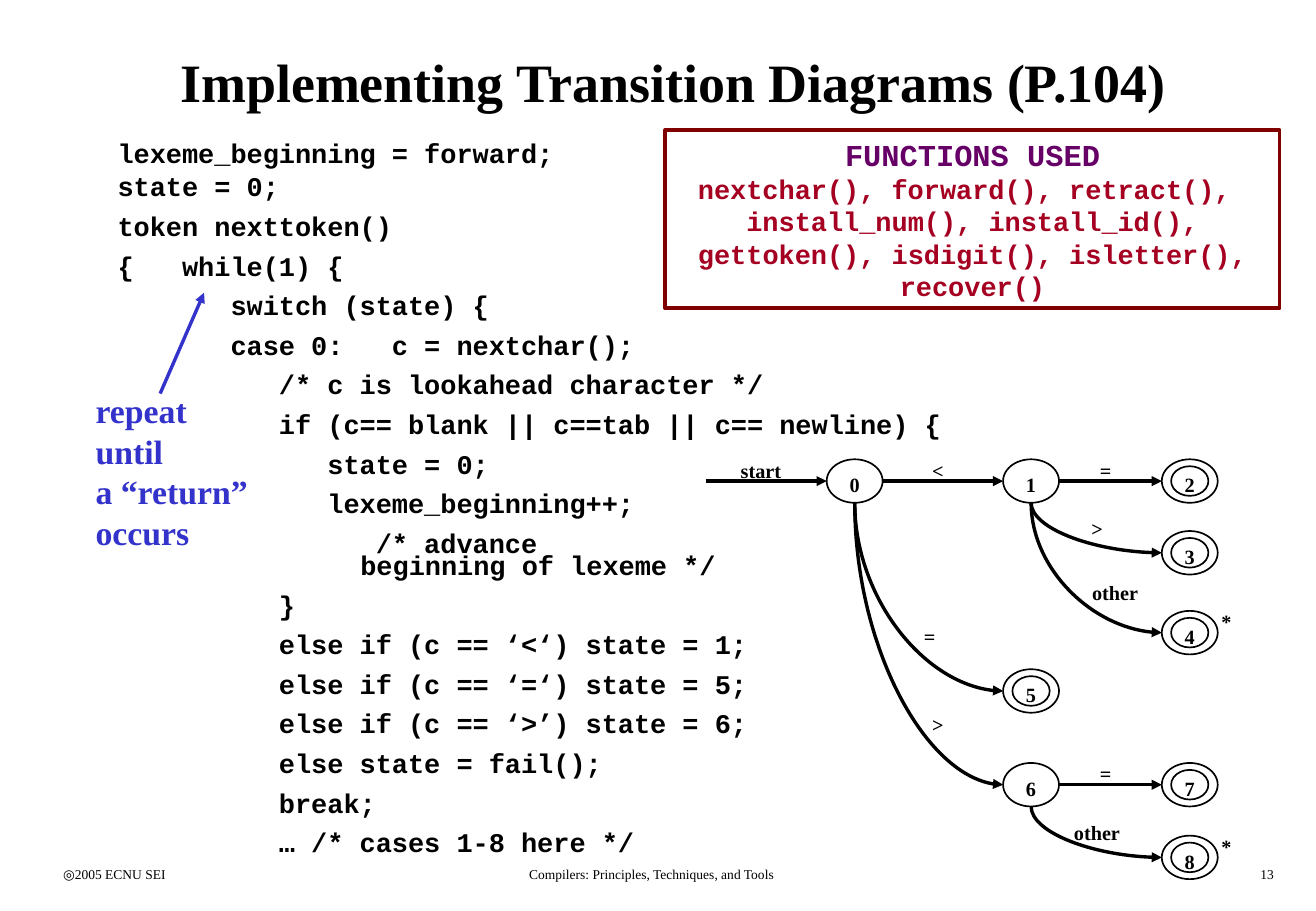
from copy import deepcopy

from lxml import etree
from pptx import Presentation
from pptx import util as u
from pptx.dml.color import RGBColor
from pptx.enum import shapes, text
from pptx.oxml.ns import qn

BLACK, BLUE, MAROON, PURPLE, CRIMSON = "000000", "3333CC", "800000", "660066", "A50021"
SERIF, MONO = "Times New Roman", "Courier New"
LEFT, CENTER, RIGHT = text.PP_ALIGN.LEFT, text.PP_ALIGN.CENTER, text.PP_ALIGN.RIGHT

CODE = [
    "lexeme_beginning = forward; \nstate = 0;",
    "token nexttoken()",
    "{   while(1) {",
    "       switch (state) {",
    "       case 0:   c = nextchar();",
    "          /* c is lookahead character */",
    "          if (c== blank || c==tab || c== newline) {",
    "             state = 0;",
    "             lexeme_beginning++;",
    "                /* advance \n\t\tbeginning of lexeme */",
    "          }",
    "          else if (c == ‘<‘) state = 1;",
    "          else if (c == ‘=‘) state = 5;",
    "          else if (c == ‘>’) state = 6;",
    "          else state = fail();",
    "          break;",
    "          … /* cases 1-8 here */",
]

# Diagram measures in cm: state centres, oval sizes and label boxes
COLUMNS = (17.88, 21.57, 24.89)
STATES = {
    0: (COLUMNS[0], 10.06),
    1: (COLUMNS[1], 10.06),
    2: (COLUMNS[2], 10.06),
    3: (COLUMNS[2], 11.56),
    4: (COLUMNS[2], 13.23),
    5: (COLUMNS[1], 14.45),
    6: (COLUMNS[1], 16.41),
    7: (COLUMNS[2], 16.41),
    8: (COLUMNS[2], 17.93),
}
ACCEPTING = (2, 3, 4, 5, 7, 8)
RETRACTING = (4, 8)
OUTER, INNER = (1.17, 0.91), (0.78, 0.62)
LABEL_WIDTH, DIGIT_WIDTH, LABEL_HEIGHT = 1.96, 0.78, 0.76

# Source state, target state, symbol, left and top of its label
TRANSITIONS = [
    (0, 1, "<", 18.64, 9.45),
    (1, 2, "=", 22.15, 9.45),
    (1, 3, ">", 21.97, 10.67),
    (1, 4, "other", 22.35, 12.01),
    (0, 5, "=", 18.47, 12.93),
    (0, 6, ">", 18.64, 14.76),
    (6, 7, "=", 22.15, 15.8),
    (6, 8, "other", 21.97, 17.02),
]


def color(code):
    return RGBColor.from_string(code)


def write(frame, words, size=12, font=SERIF, ink=BLACK, bold=True, align=LEFT,
          before=0, spacing=None, tabs=()):
    """Add one paragraph to the frame, filling the empty first one if there is one."""
    first = frame.paragraphs[0]
    para = frame.add_paragraph() if first.runs else first
    para.text = words
    para.alignment = align
    para.space_before = u.Pt(before)
    if spacing:
        para.line_spacing = spacing
    if tabs:
        stops = etree.SubElement(para._p.get_or_add_pPr(), qn("a:tabLst"))
        for stop in tabs:
            etree.SubElement(stops, qn("a:tab"), pos=str(u.Cm(stop)), algn="l")
    for run in para.runs:
        run.font.size = u.Pt(size)
        run.font.name = font
        run.font.bold = bold
        run.font.color.rgb = color(ink)
    for line_break in para._p.findall(qn("a:br")):
        line_break.append(deepcopy(para.runs[0].font._element))


def text_box(slide, left, top, width, height, words="", **style):
    frame = slide.shapes.add_textbox(*map(u.Cm, (left, top, width, height))).text_frame
    frame.word_wrap = True
    if words:
        write(frame, words, **style)
    return frame


def outline(slide, kind, left, top, width, height, ink=BLACK, weight=1):
    shape = slide.shapes.add_shape(kind, *map(u.Cm, (left, top, width, height)))
    shape.shadow.inherit = False
    shape.fill.background()
    shape.line.color.rgb = color(ink)
    shape.line.width = u.Pt(weight)
    return shape


def arrow(slide, start, end, ink=BLACK, curved=False):
    """Draw an arrow; a curved one leaves downwards and arrives from the left."""
    kind = shapes.MSO_CONNECTOR.CURVE if curved else shapes.MSO_CONNECTOR.STRAIGHT
    link = slide.shapes.add_connector(kind, *map(u.Cm, start + end))
    link.line.color.rgb = color(ink)
    link.line.width = u.Pt(2)
    etree.SubElement(link.line._get_or_add_ln(), qn("a:tailEnd"), type="triangle")
    properties = link._element.spPr
    etree.SubElement(properties, qn("a:effectLst"))
    if curved:
        across, down = end[0] - start[0], end[1] - start[1]
        link.left = u.Cm(start[0] + (across - down) / 2)
        link.top = u.Cm(start[1] + (down - across) / 2)
        link.width, link.height = u.Cm(down), u.Cm(across)
        frame = properties.find(qn("a:xfrm"))
        frame.set("rot", str(270 * 60000))
        frame.set("flipH", "1")
        properties.find(qn("a:prstGeom")).set("prst", "curvedConnector2")


def state(slide, number):
    x, y = STATES[number]
    for width, height in (OUTER, INNER) if number in ACCEPTING else (OUTER,):
        outline(slide, shapes.MSO_SHAPE.OVAL, x - width / 2, y - height / 2, width, height)
    text_box(slide, x - DIGIT_WIDTH / 2, y - 0.3, DIGIT_WIDTH, LABEL_HEIGHT,
             str(number), align=CENTER)
    if number in RETRACTING:
        text_box(slide, x + 0.38, y - 0.61, DIGIT_WIDTH, LABEL_HEIGHT, "*", align=CENTER)


def transition(slide, source, target, symbol, left, top):
    (x1, y1), (x2, y2) = STATES[source], STATES[target]
    curved = y1 != y2
    start = (x1, y1 + OUTER[1] / 2) if curved else (x1 + OUTER[0] / 2, y1)
    arrow(slide, start, (x2 - OUTER[0] / 2, y2), curved=curved)
    text_box(slide, left, top, LABEL_WIDTH, LABEL_HEIGHT, symbol, align=CENTER)


def transition_diagram(slide):
    x, y = STATES[0]
    arrow(slide, (14.76, y), (x - OUTER[0] / 2, y))
    text_box(slide, 14.94, 9.45, LABEL_WIDTH, LABEL_HEIGHT, "start", align=CENTER)
    for step in TRANSITIONS:
        transition(slide, *step)
    for number in STATES:
        state(slide, number)


def code_listing(slide):
    listing = text_box(slide, 2.21, 2.74, 22.71, 15.32)
    write(listing, CODE[0], size=16, font=MONO)
    for line in CODE[1:]:
        write(listing, line, size=16, font=MONO, before=10, spacing=0.7,
              tabs=(2.54, 5.08) if "\t" in line else ())


def functions_used(slide):
    panel = outline(slide, shapes.MSO_SHAPE.RECTANGLE, 13.92, 2.72, 12.85, 3.73, MAROON, 2.25)
    frame = panel.text_frame
    frame.word_wrap = True
    frame.vertical_anchor = text.MSO_ANCHOR.TOP
    write(frame, "FUNCTIONS USED", size=18, font=MONO, ink=PURPLE, align=CENTER)
    for names in ("nextchar(), forward(), retract(), ",
                  "install_num(), install_id(), gettoken(), isdigit(), isletter(), recover()"):
        write(frame, names, size=16, font=MONO, ink=CRIMSON, align=CENTER)


def footer(slide):
    for left, width, words, align in (
        (1.07, 5.74, "◎2005 ECNU SEI", LEFT),
        (8.48, 10.31, "Compilers: Principles, Techniques, and Tools", CENTER),
        (21.16, 5.74, "13", RIGHT),
    ):
        text_box(slide, left, 17.98, width, 0.64, words, size=8, bold=False, align=align)


def main():
    deck = Presentation()
    deck.slide_width, deck.slide_height = u.Cm(27.53), u.Cm(19.05)
    slide = deck.slides.add_slide(deck.slide_layouts[6])
    title = text_box(slide, 1.07, 0.43, 26.04, 2.54,
                     "Implementing Transition Diagrams (P.104)", size=32, align=CENTER)
    title.vertical_anchor = text.MSO_ANCHOR.MIDDLE
    code_listing(slide)
    transition_diagram(slide)
    functions_used(slide)
    text_box(slide, 1.75, 8.03, 4.14, 3.66, "repeat\nuntil\na “return”\noccurs", size=20, ink=BLUE)
    arrow(slide, (3.35, 8.23), (4.27, 6.12), BLUE)
    footer(slide)
    deck.save("out.pptx")


if __name__ == "__main__":
    main()
